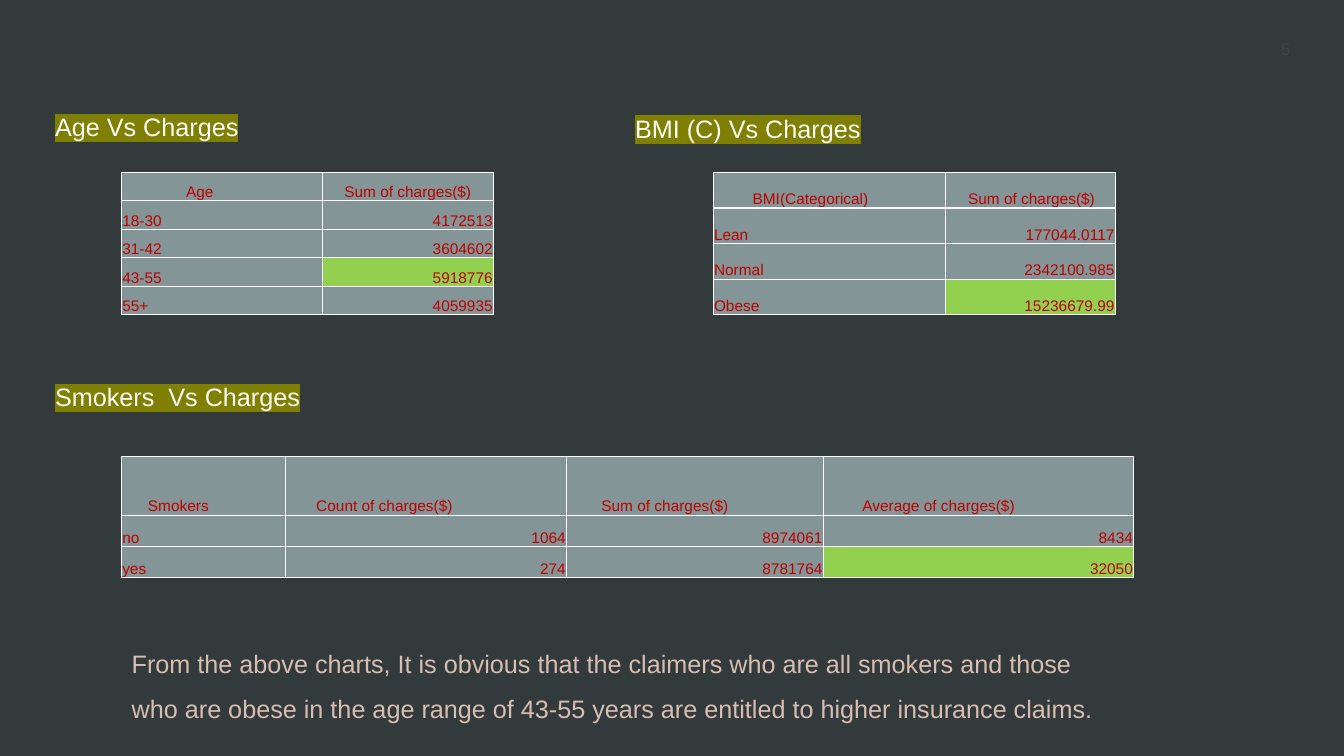
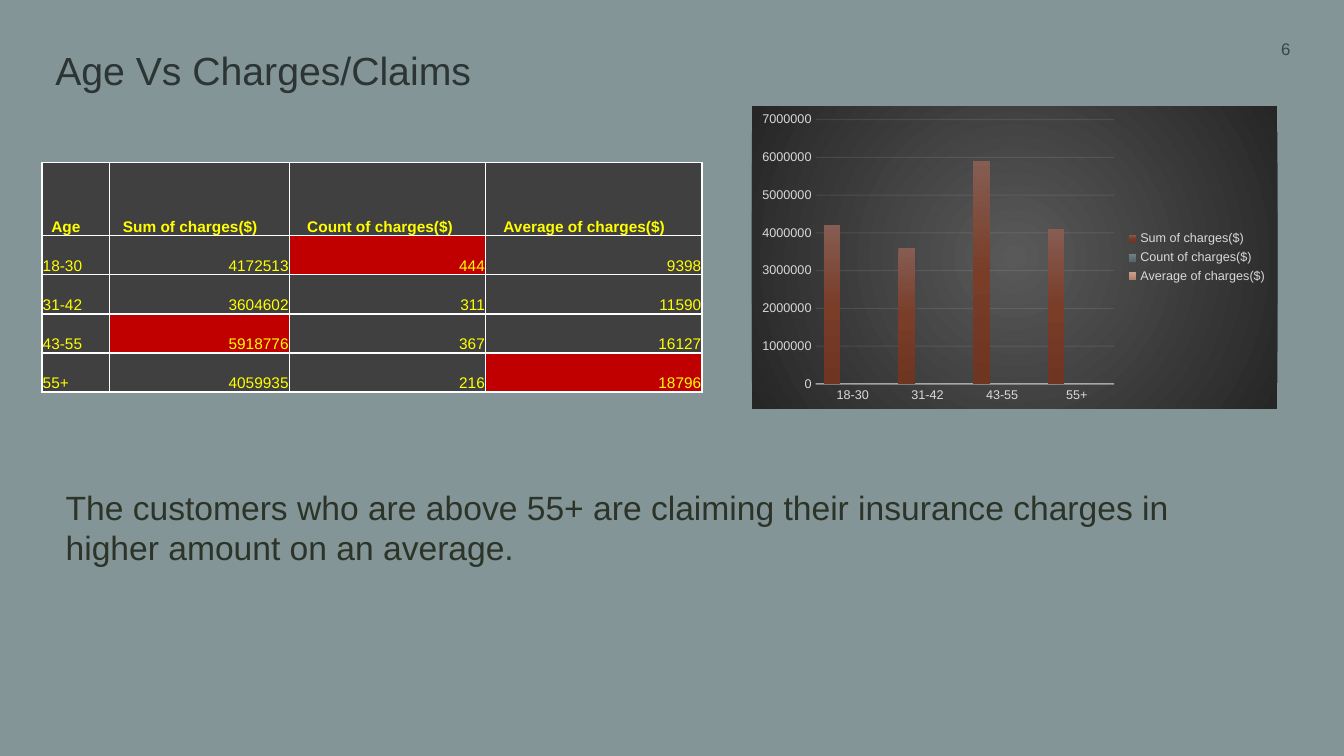
"""Build two slides on insurance charges, with lengths as percentages of the slide's size."""
from pptx import Presentation, util as u
from pptx.chart.data import CategoryChartData
from pptx.dml.color import RGBColor
from pptx.enum import chart as charts, shapes, text
from pptx.oxml import parse_xml
from pptx.oxml.ns import nsdecls, qn

WIDTH, HEIGHT = u.Inches(13.333), u.Inches(7.5)
FONT = "Arial"
COLORS = {
    "slate": "323A3B", "sage": "839596", "white": "FFFFFF", "olive": "808000",
    "red": "C00000", "green": "92D050", "yellow": "FFFF00", "charcoal": "404040",
    "sand": "D8BEB2", "title": "2C3434", "number": "3B4546", "closing": "2C342A",
    "label": "D9D9D9", "axis": "F2F2F2",
}
CHART_GRADIENT = ("595959", "262626")
SERIES_GRADIENTS = (
    ("865D53", "793D28", "6E3521"),
    ("768486", "627477", "56676B"),
    ("C59F8D", "C1927B", "AF8069"),
)
RADIAL = ('<a:path path="circle"><a:fillToRect l="50000" t="50000" '
          'r="50000" b="50000"/></a:path>')
DOWNWARD = '<a:lin ang="5400000" scaled="0"/>'


def across(share):
    """Turn a percentage of the slide's width into a length."""
    return u.Emu(int(WIDTH * share / 100))


def down(share):
    """Turn a percentage of the slide's height into a length."""
    return u.Emu(int(HEIGHT * share / 100))


def frame(left, top, width, height):
    """Place a box given in percentages of the slide."""
    return across(left), down(top), across(width), down(height)


def color(name):
    """Look up a named colour."""
    return RGBColor.from_string(COLORS[name])


def style_font(font, size, color_name, bold=False):
    """Apply the shared typeface with a size and a colour."""
    font.name, font.size, font.bold = FONT, u.Pt(size), bold
    font.color.rgb = color(color_name)


def write(shape, content, size, color_name, spacing=None,
          align=text.PP_ALIGN.LEFT, anchor=text.MSO_ANCHOR.TOP):
    """Write one wrapped paragraph into a shape and return its run."""
    text_frame = shape.text_frame
    text_frame.word_wrap = True
    text_frame.vertical_anchor = anchor
    text_frame.text = content
    paragraph = text_frame.paragraphs[0]
    paragraph.alignment, paragraph.line_spacing = align, spacing
    style_font(paragraph.runs[0].font, size, color_name)
    return paragraph.runs[0]


def add_text(slide, box, *content, **layout):
    """Add a one-paragraph text box and return its run."""
    return write(slide.shapes.add_textbox(*frame(*box)), *content, **layout)


def add_heading(slide, left, top, content):
    """Add a highlighted table heading."""
    run = add_text(slide, (left, top, 42, 5.3), content, 18, "white")
    run.font.fill._xPr.find(qn("a:solidFill")).addnext(parse_xml(
        f'<a:highlight {nsdecls("a")}><a:srgbClr val="{COLORS["olive"]}"/></a:highlight>'))


def add_title(slide, content, fill):
    """Add the title on a filled band."""
    band = slide.shapes.add_shape(shapes.MSO_SHAPE.RECTANGLE, *frame(3.38, 4.4, 92.5, 9.6))
    band.shadow.inherit = False
    band.fill.solid()
    band.fill.fore_color.rgb = color(fill)
    band.line.fill.background()
    write(band, content, 28, "title", anchor=text.MSO_ANCHOR.MIDDLE)


def add_slide(presentation, background, number, title=None):
    """Add a blank slide with its background, optional title and page number."""
    slide = presentation.slides.add_slide(presentation.slide_layouts[6])
    slide.background.fill.solid()
    slide.background.fill.fore_color.rgb = color(background)
    if title:
        add_title(slide, title, background)
    add_text(slide, (83.03, 4.4, 13.73, 4), number, 12, "number",
             align=text.PP_ALIGN.RIGHT, anchor=text.MSO_ANCHOR.MIDDLE)
    return slide


def add_borders(cell):
    """Draw a white one-point line on each side of a cell."""
    properties = cell._tc.get_or_add_tcPr()
    for position, side in enumerate("LRTB"):
        properties.insert(position, parse_xml(
            f'<a:ln{side} {nsdecls("a")} w="12700"><a:solidFill>'
            f'<a:srgbClr val="{COLORS["white"]}"/></a:solidFill></a:ln{side}>'))


def fill_cell(cell, content, fill, ink, indent=0, bold=False, right=False):
    """Write and format one bottom-anchored table cell."""
    cell.text = str(content)
    cell.vertical_anchor = text.MSO_ANCHOR.BOTTOM
    cell.margin_left = across(0.05 + indent)
    cell.margin_right, cell.margin_top, cell.margin_bottom = across(0.05), down(0.1), 0
    cell.fill.solid()
    cell.fill.fore_color.rgb = color(fill)
    paragraph = cell.text_frame.paragraphs[0]
    paragraph.alignment = text.PP_ALIGN.RIGHT if right else text.PP_ALIGN.LEFT
    style_font(paragraph.runs[0].font, 11, ink, bold)
    add_borders(cell)


def add_data_table(slide, corner, widths, heights, header, indents, rows, marked,
                   fill="sage", mark="green", ink="red", bold=False):
    """Add a table with an indented header and marked cells; heights are header and body."""
    row_heights = [heights[0]] + [heights[1]] * len(rows)
    box = frame(*corner, sum(widths), sum(row_heights))
    table = slide.shapes.add_table(len(row_heights), len(widths), *box).table
    for column, width in zip(table.columns, widths):
        column.width = across(width)
    for row, height in zip(table.rows, row_heights):
        row.height = down(height)
    for column, (title, indent) in enumerate(zip(header, indents)):
        fill_cell(table.cell(0, column), title, fill, ink, indent, bold)
    for row, values in enumerate(rows, 1):
        for column, value in enumerate(values):
            fill_cell(table.cell(row, column), value,
                      mark if (row, column) in marked else fill, ink, right=column > 0)


def gradient(stops, direction):
    """Build a gradient fill with evenly spaced stops."""
    step = 100000 // (len(stops) - 1)
    marks = "".join(f'<a:gs pos="{index * step}"><a:srgbClr val="{stop}"/></a:gs>'
                    for index, stop in enumerate(stops))
    return parse_xml(f'<a:gradFill {nsdecls("a")} rotWithShape="1">'
                     f'<a:gsLst>{marks}</a:gsLst>{direction}</a:gradFill>')


def style_line(line, width, opacity):
    """Give a chart line its colour, width and opacity in percent."""
    line.width = u.Pt(width)
    line.color.rgb = color("axis")
    for shade in line._ln.iter(qn("a:srgbClr")):
        shade.append(parse_xml(f'<a:alpha {nsdecls("a")} val="{opacity * 1000}"/>'))


def add_column_chart(slide, box, header, rows):
    """Chart the numeric columns, rounded to hundred thousands, as clustered columns."""
    categories, *columns = zip(*rows)
    data = CategoryChartData(number_format="0")
    data.categories = categories
    for name, values in zip(header[1:], columns):
        data.add_series(name, [round(value, -5) for value in values])
    chart = slide.shapes.add_chart(
        charts.XL_CHART_TYPE.COLUMN_CLUSTERED, *frame(*box), data).chart
    style_font(chart.font, 9, "label")
    chart.has_title = False
    chart.has_legend = True
    chart.legend.position = charts.XL_LEGEND_POSITION.RIGHT
    chart.legend.include_in_layout = False
    style_font(chart.legend.font, 9, "label")
    area = parse_xml(f'<c:spPr {nsdecls("c", "a")}><a:ln><a:noFill/></a:ln></c:spPr>')
    area.insert(0, gradient(CHART_GRADIENT, RADIAL))
    chart._chartSpace.find(qn("c:chart")).addnext(area)
    plot = chart.plots[0]
    plot.gap_width, plot.overlap, plot.vary_by_categories = 100, -24, False
    for series, stops in zip(plot.series, SERIES_GRADIENTS):
        series._element.get_or_add_spPr().insert(0, gradient(stops, DOWNWARD))
    for axis in (chart.category_axis, chart.value_axis):
        axis.major_tick_mark = axis.minor_tick_mark = charts.XL_TICK_MARK.NONE
        style_font(axis.tick_labels.font, 9, "label")
    style_line(chart.category_axis.format.line, 1, 54)
    value_axis = chart.value_axis
    value_axis.format.line.fill.background()
    value_axis.has_major_gridlines = True
    style_line(value_axis.major_gridlines.format.line, 0.75, 10)
    value_axis.tick_labels.number_format = "0"
    value_axis.tick_labels.number_format_is_linked = False


def build_summary(presentation, age_rows):
    """Build the slide with three summary tables."""
    slide = add_slide(presentation, "slate", "5")
    add_heading(slide, 3.36, 14.08, "Age Vs Charges")
    add_data_table(slide, (9.05, 22.8), (14.92, 12.75), (3.77, 3.77),
                   ("Age", "Sum of charges($)"), (4.75, 1.6),
                   [row[:2] for row in age_rows], {(3, 1)})
    add_heading(slide, 46.52, 14.3, "BMI (C) Vs Charges")
    add_data_table(slide, (53.08, 22.8), (17.3, 12.6), (4.71, 4.71),
                   ("BMI(Categorical)", "Sum of charges($)"), (2.87, 1.6),
                   [("Lean", 177044.0117), ("Normal", 2342100.985), ("Obese", 15236679.99)],
                   {(3, 1)})
    add_heading(slide, 3.36, 49.78, "Smokers  Vs Charges")
    add_data_table(slide, (9.05, 60.4), (12.2, 20.9, 19.1, 23.1), (7.75, 4.15),
                   ("Smokers", "Count of charges($)", "Sum of charges($)",
                    "Average of charges($)"), (1.91, 2.23, 2.55, 2.87),
                   [("no", 1064, 8974061, 8434), ("yes", 274, 8781764, 32050)], {(2, 3)})
    add_text(slide, (9.06, 83.1, 75.3, 12.7),
             "From the above charts, It is obvious that the claimers who are all smokers and "
             "those who are obese in the age range of 43-55 years are entitled to higher "
             "insurance claims.", 18, "sand", spacing=1.5)


def build_age_claims(presentation, age_rows):
    """Build the slide that sets the age table beside its chart."""
    slide = add_slide(presentation, "sage", "6", "Age Vs Charges/Claims")
    header = ("Age", "Sum of charges($)", "Count of charges($)", "Average of charges($)")
    add_data_table(slide, (3.13, 21.5), (5, 13.4, 14.6, 16.1), (9.7, 5.17),
                   header, (0.64, 0.96, 1.28, 1.28), age_rows, {(1, 2), (3, 1), (4, 3)},
                   fill="charcoal", mark="red", ink="yellow", bold=True)
    add_column_chart(slide, (55.95, 14.05, 39.1, 40), header, age_rows)
    add_text(slide, (4.15, 63.72, 90.9, 12.1),
             "The customers who are above 55+ are claiming their insurance charges in higher "
             "amount on an average.", 24, "closing")


def main():
    """Build and save the presentation."""
    presentation = Presentation()
    presentation.slide_width, presentation.slide_height = WIDTH, HEIGHT
    age_rows = [
        ("18-30", 4172513, 444, 9398),
        ("31-42", 3604602, 311, 11590),
        ("43-55", 5918776, 367, 16127),
        ("55+", 4059935, 216, 18796),
    ]
    build_summary(presentation, age_rows)
    build_age_claims(presentation, age_rows)
    presentation.save("out.pptx")


if __name__ == "__main__":
    main()
